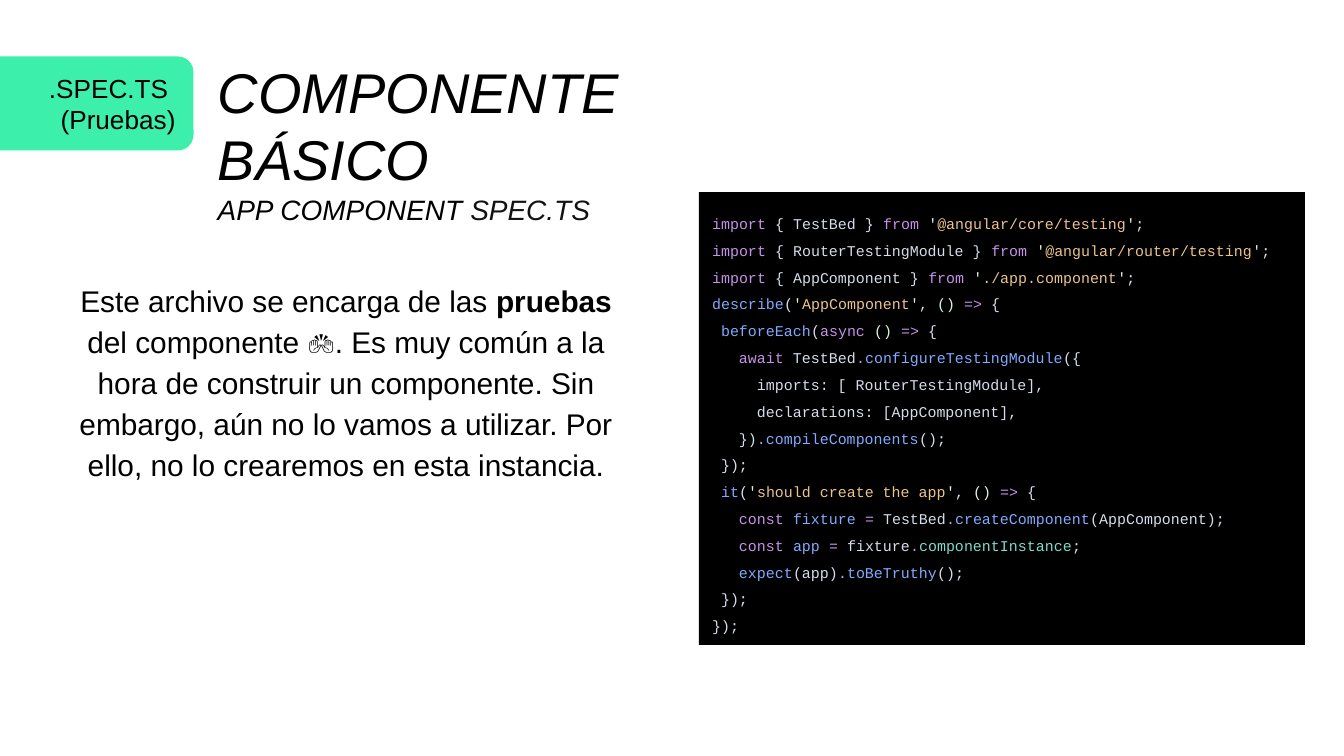
from dataclasses import dataclass

from pptx import Presentation
from pptx.dml.color import RGBColor
from pptx.enum.shapes import MSO_SHAPE
from pptx.enum.text import MSO_ANCHOR, MSO_AUTO_SIZE, PP_ALIGN
from pptx.text.text import TextFrame, _Paragraph
from pptx.util import Inches, Pt

ROUNDED, RECTANGLE = MSO_SHAPE.ROUNDED_RECTANGLE, MSO_SHAPE.RECTANGLE
TOP, MIDDLE = MSO_ANCHOR.TOP, MSO_ANCHOR.MIDDLE
LEFT, CENTER, RIGHT = PP_ALIGN.LEFT, PP_ALIGN.CENTER, PP_ALIGN.RIGHT
FIXED, GROW = MSO_AUTO_SIZE.NONE, MSO_AUTO_SIZE.SHAPE_TO_FIT_TEXT

SLIDE_WIDTH = Inches(10)
SLIDE_HEIGHT = SLIDE_WIDTH * 9 // 16

COLORS = {
    "ink": "000000",
    "soft_ink": "121212",
    "tag": "3CEFAB",
    "plain": "D6DEEB",
    "keyword": "C792EA",
    "name": "82AAFF",
    "quote": "D9F5DD",
    "string": "ECC48D",
    "property": "7FDBCA",
}
CODE_SIZE = 8
CHARACTER_WIDTH = Pt(CODE_SIZE * 0.6)


@dataclass(frozen=True)
class Token:
    text: str
    color: str = "plain"


@dataclass(frozen=True)
class CodeLine:
    indent: int
    tokens: tuple[Token, ...]


def line(indent: int, *tokens: Token) -> CodeLine:
    return CodeLine(indent, tokens)


def keyword(text: str) -> Token:
    return Token(text, "keyword")


def name(text: str) -> Token:
    return Token(text, "name")


def quoted(text: str) -> tuple[Token, ...]:
    return Token("'", "quote"), Token(text, "string"), Token("'", "quote")


def import_line(symbol: str, module: str) -> CodeLine:
    return line(0, keyword("import"), Token(f" {{ {symbol} }} "),
                keyword("from "), *quoted(module), Token(";"))


DOT = keyword(".")
ARROW = (Token("() ", "quote"), keyword("=>"), Token(" {"))
CODE = (
    import_line("TestBed", "@angular/core/testing"),
    import_line("RouterTestingModule", "@angular/router/testing"),
    import_line("AppComponent", "./app.component"),
    line(0, name("describe"), Token("("), *quoted("AppComponent"), Token(", "), *ARROW),
    line(1, name("beforeEach"), Token("("), keyword("async "), *ARROW),
    line(3, keyword("await"), Token(" TestBed"), DOT,
         name("configureTestingModule"), Token("({")),
    line(5, Token("imports: [ RouterTestingModule],")),
    line(5, Token("declarations: [AppComponent],")),
    line(3, Token("})"), DOT, name("compileComponents"), Token("();")),
    line(1, Token("});")),
    line(1, name("it"), Token("("), *quoted("should create the app"), Token(", "), *ARROW),
    line(3, keyword("const "), name("fixture"), keyword(" = "), Token("TestBed"), DOT,
         name("createComponent"), Token("(AppComponent);")),
    line(3, keyword("const "), name("app"), keyword(" = "), Token("fixture"), DOT,
         Token("componentInstance", "property"), Token(";")),
    line(3, name("expect"), Token("(app)"), DOT, name("toBeTruthy"), Token("();")),
    line(1, Token("});")),
    line(0, Token("});")),
)


def rgb(color: str) -> RGBColor:
    return RGBColor.from_string(COLORS[color])


def place(shape, left: float, top: float, width: float, height: float) -> None:
    shape.left, shape.top = Inches(left), Inches(top)
    shape.width, shape.height = Inches(width), Inches(height)


def prepare_frame(frame: TextFrame, anchor=TOP, auto_size=FIXED) -> None:
    frame.word_wrap = True
    frame.auto_size = auto_size
    frame.vertical_anchor = anchor
    frame.margin_left = frame.margin_right = Inches(0.1)
    frame.margin_top = frame.margin_bottom = Inches(0.1)


def add_paragraph(frame: TextFrame, size: float, align=LEFT, spacing: float = 1.0,
                  font_name: str = "Arial", italic: bool = False) -> _Paragraph:
    """Return the empty first paragraph, or a new one after existing text."""
    first = frame.paragraphs[0]
    paragraph = frame.add_paragraph() if first.runs else first
    paragraph.alignment = align
    paragraph.line_spacing = spacing
    font = paragraph.font
    font.name, font.size, font.italic = font_name, Pt(size), italic
    font.color.rgb = rgb("ink")
    return paragraph


def add_run(paragraph: _Paragraph, text: str, color: str = "", bold: bool = False) -> None:
    run = paragraph.add_run()
    run.text = text
    if color:
        run.font.color.rgb = rgb(color)
    if bold:
        run.font.bold = True


def add_block(slide, kind, fill: str, left: float, top: float, width: float, height: float):
    block = slide.shapes.add_shape(kind, Inches(left), Inches(top),
                                   Inches(width), Inches(height))
    block.shadow.inherit = False
    block.fill.solid()
    block.fill.fore_color.rgb = rgb(fill)
    block.line.fill.background()
    return block


def write_title(slide) -> None:
    title = slide.shapes.title
    place(title, 1.52, 0.33, 4.51, 0.79)
    prepare_frame(title.text_frame)
    add_run(add_paragraph(title.text_frame, 30, italic=True), "COMPONENTE BÁSICO")
    subtitle = add_paragraph(title.text_frame, 15, italic=True)
    add_run(subtitle, "APP COMPONENT ")
    add_run(subtitle, "SPEC.TS", "soft_ink")


def add_file_tag(slide) -> None:
    tag = add_block(slide, ROUNDED, "tag", -0.17, 0.42, 1.61, 0.7)
    prepare_frame(tag.text_frame, MIDDLE)
    for label in (".SPEC.TS ", "(Pruebas)"):
        add_run(add_paragraph(tag.text_frame, 14, RIGHT), label)


def add_explanation(slide) -> None:
    explanation = slide.shapes.add_textbox(Inches(0.33), Inches(1.96),
                                           Inches(4.49), Inches(1.71))
    prepare_frame(explanation.text_frame, auto_size=GROW)
    paragraph = add_paragraph(explanation.text_frame, 16, CENTER, 1.15)
    add_run(paragraph, "Este archivo se encarga de las ")
    add_run(paragraph, "pruebas", bold=True)
    add_run(paragraph, " del componente 🙌. Es muy común a la hora de construir un "
                       "componente. Sin embargo, aún no lo vamos a utilizar. Por ello, "
                       "no lo crearemos en esta instancia.")


def add_code_panel(slide) -> None:
    panel = add_block(slide, RECTANGLE, "ink", 5.2, 1.43, 4.51, 3.37)
    prepare_frame(panel.text_frame, auto_size=GROW)
    for code_line in CODE:
        paragraph = add_paragraph(panel.text_frame, CODE_SIZE, spacing=1.5,
                                  font_name="Courier New")
        properties = paragraph._p.get_or_add_pPr()
        properties.set("marL", str(code_line.indent * CHARACTER_WIDTH))
        properties.set("indent", "0")
        for token in code_line.tokens:
            add_run(paragraph, token.text, token.color)


def main() -> None:
    presentation = Presentation()
    presentation.slide_width, presentation.slide_height = SLIDE_WIDTH, SLIDE_HEIGHT
    slide = presentation.slides.add_slide(presentation.slide_layouts[5])
    write_title(slide)
    add_file_tag(slide)
    add_explanation(slide)
    add_code_panel(slide)
    presentation.save("out.pptx")


if __name__ == "__main__":
    main()
